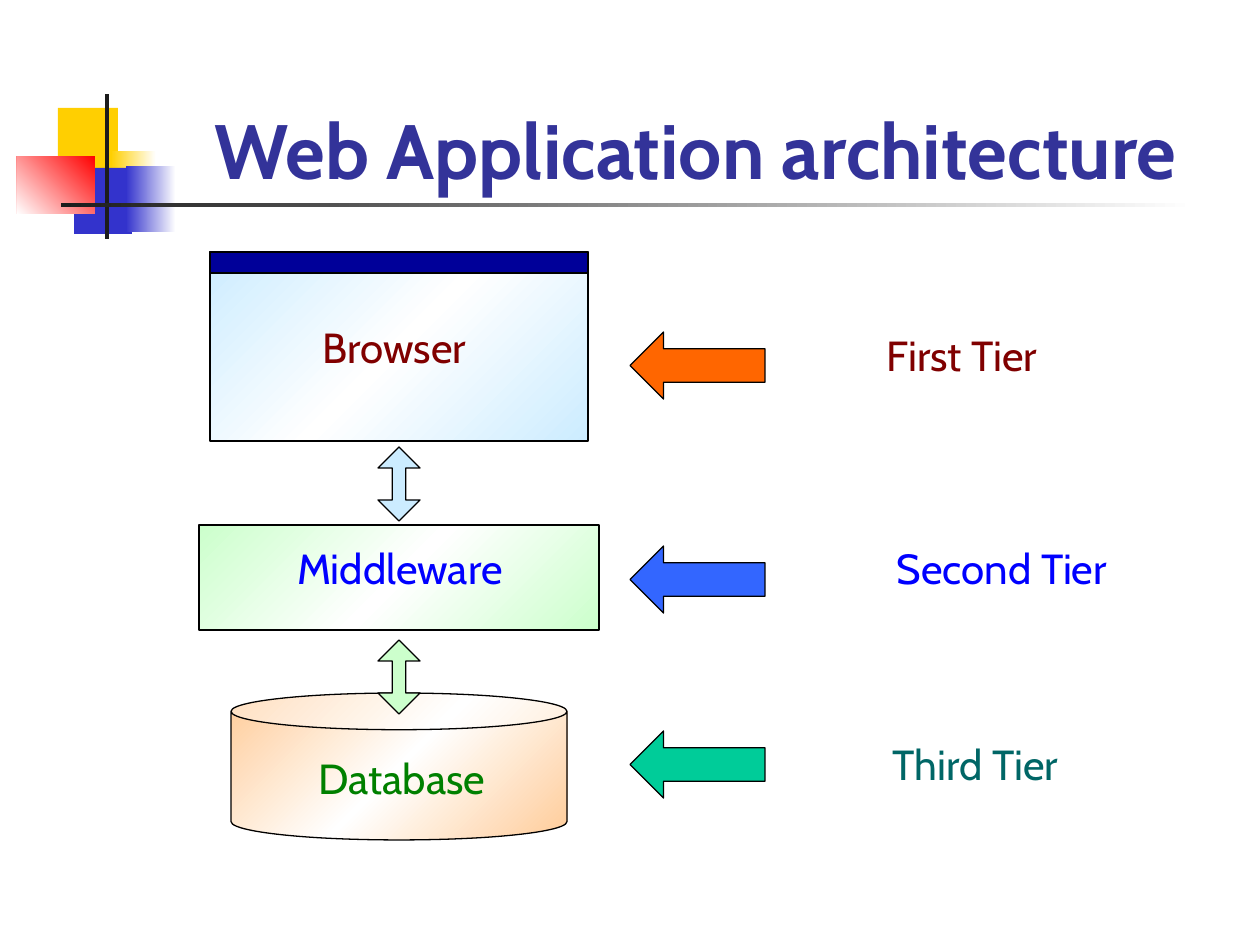
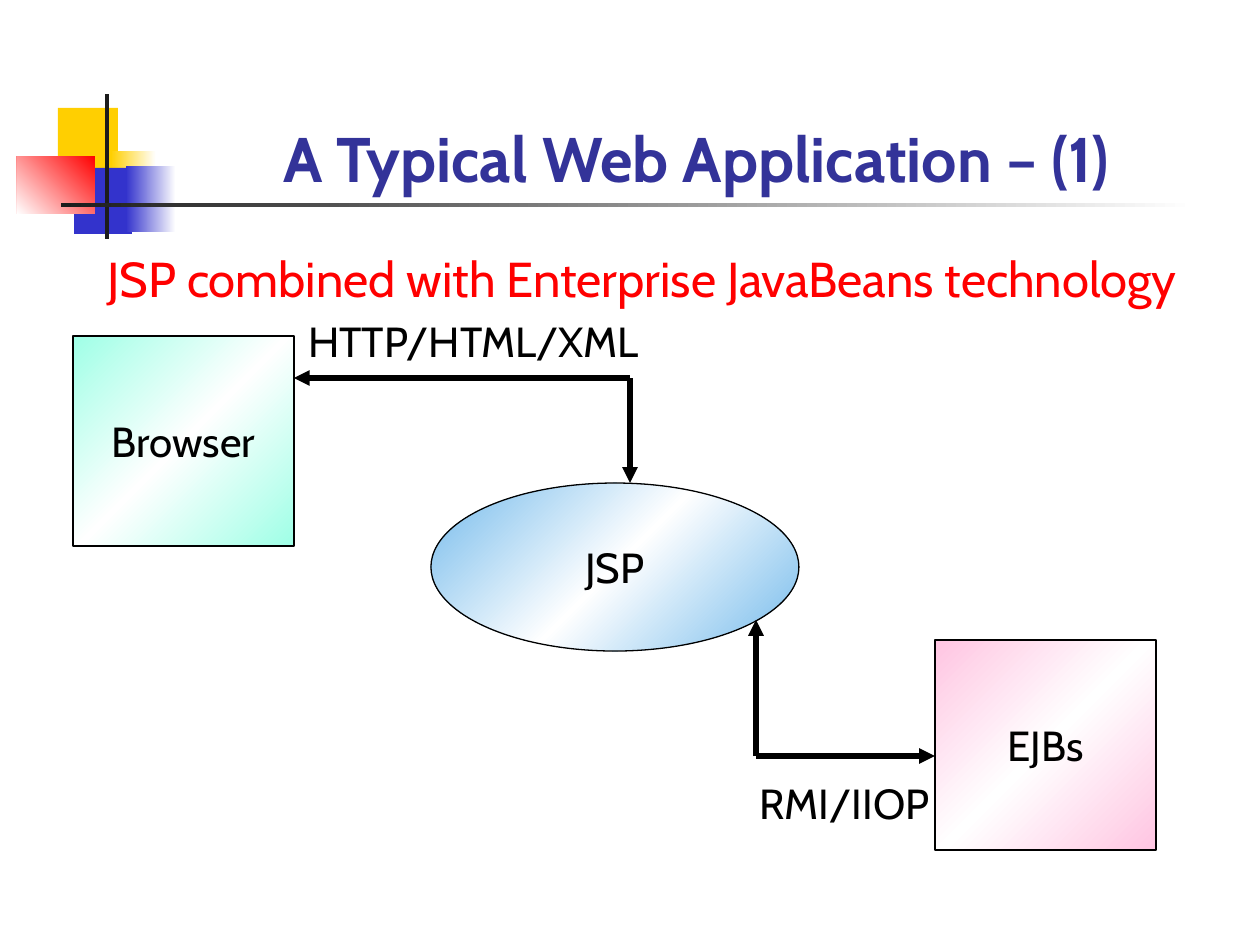
from dataclasses import dataclass

from lxml.etree import SubElement
from pptx import Presentation
from pptx.dml.color import RGBColor
from pptx.enum.shapes import MSO_CONNECTOR, MSO_SHAPE as Preset, PP_PLACEHOLDER
from pptx.enum.text import MSO_ANCHOR as Anchor, MSO_AUTO_SIZE, PP_ALIGN
from pptx.oxml.ns import qn
from pptx.util import Emu, Pt

EMU_PER_PX = 914400 / 126


@dataclass(frozen=True)
class Theme:
    font: str = "Cabin"
    title_size: int = 44
    small_title_size: int = 36
    subtitle_size: int = 28
    label_size: int = 24
    outline_width: float = 0.75
    arrow_width: float = 3
    title: str = "333399"
    black: str = "000000"
    white: str = "FFFFFF"
    rule: str = "1C1C1C"
    yellow: str = "FFCF01"
    indigo: str = "3333CC"
    red: str = "FF0000"
    maroon: str = "800000"
    blue: str = "0000FF"
    green: str = "008000"
    teal: str = "006666"
    navy: str = "000099"
    pale_blue: str = "CCECFF"
    pale_green: str = "CCFFCC"
    peach: str = "FFCC99"
    mint: str = "9FFFE6"
    sky: str = "73BAEB"
    pink: str = "FFC5E2"
    orange_arrow: str = "FF6600"
    blue_arrow: str = "3366FF"
    green_arrow: str = "00CC99"


def px(*lengths):
    return [Emu(round(length * EMU_PER_PX)) for length in lengths]


class Deck:
    def __init__(self, theme):
        self.theme = theme
        self.presentation = Presentation()
        self.presentation.slide_width, self.presentation.slide_height = px(1260, 945)
        self.layout = self.presentation.slide_layouts[5]
        self.slide = None
        for placeholder in list(self.layout.placeholders):
            if placeholder.placeholder_format.type != PP_PLACEHOLDER.TITLE:
                placeholder.element.getparent().remove(placeholder.element)

    def add_slide(self, title, size):
        first = self.slide is None
        self.slide = self.presentation.slides.add_slide(self.layout)
        if first:
            self.decorate_layout()
        shape = self.slide.shapes.title
        shape.left, shape.top, shape.width, shape.height = px(159, 43, 1074, 158)
        self.set_text(shape, title, size, self.theme.title, Anchor.BOTTOM, wrap=True, bold=True)

    def decorate_layout(self):
        """Draw the corner squares and rules, then move them to the shared layout."""
        theme = self.theme
        decorations = [
            ((58, 108, 60, 66), theme.yellow, 0),
            ((111, 151, 45, 66), (theme.white, theme.yellow), 180),
            ((74, 168, 58, 66), theme.indigo, 0),
            ((126, 166, 50, 66), (theme.white, theme.indigo), 180),
            ((17, 156, 78, 58), (theme.red, theme.white), 135),
            ((105, 94, 4, 145), theme.rule, 0),
            ((61, 203, 1134, 4), (theme.white, theme.rule), 180),
        ]
        for box, fill, angle in decorations:
            shape = self.shape(Preset.RECTANGLE, box, fill, angle, outlined=False)
            self.layout.shapes.element.append(shape.element)

    def set_text(self, shape, text, size, color, anchor, wrap=False, bold=False):
        frame = shape.text_frame
        frame.text = text
        frame.word_wrap = wrap
        frame.auto_size = MSO_AUTO_SIZE.NONE
        frame.vertical_anchor = anchor
        paragraph = frame.paragraphs[0]
        paragraph.alignment = PP_ALIGN.CENTER
        font = paragraph.font
        font.name, font.size, font.bold = self.theme.font, Pt(size), bold
        font.color.rgb = RGBColor.from_string(color)

    def shape(self, preset, box, fill, angle=225, adjustments=(), outlined=True):
        """Add a preset shape; a tuple of colours as fill makes an even gradient."""
        shape = self.slide.shapes.add_shape(preset, *px(*box))
        shape.shadow.inherit = False
        for index, value in enumerate(adjustments):
            shape.adjustments[index] = value
        if isinstance(fill, tuple):
            self.gradient(shape, fill, angle)
        else:
            shape.fill.solid()
            shape.fill.fore_color.rgb = RGBColor.from_string(fill)
        if outlined:
            shape.line.width = Pt(self.theme.outline_width)
            shape.line.color.rgb = RGBColor.from_string(self.theme.black)
        else:
            shape.line.fill.background()
        return shape

    def gradient(self, shape, colors, angle):
        """Fill with evenly spaced stops; the angle runs clockwise."""
        shape.fill.gradient()
        shape.fill.gradient_angle = 360 - angle
        stops = shape.element.spPr.find(".//" + qn("a:gsLst"))
        for stop in list(stops):
            stops.remove(stop)
        for index, color in enumerate(colors):
            position = index * 100000 // (len(colors) - 1)
            stop = SubElement(stops, qn("a:gs"), pos=str(position))
            SubElement(stop, qn("a:srgbClr"), val=color)

    def glossy(self, preset, box, color, label=None, adjustments=()):
        """Add a shape with a white diagonal sheen and an optional centred label."""
        shape = self.shape(preset, box, (color, self.theme.white, color), adjustments=adjustments)
        if label:
            self.set_text(shape, label, self.theme.label_size, self.theme.black, Anchor.MIDDLE)

    def text(self, box, text, color, size=None):
        shape = self.slide.shapes.add_textbox(*px(*box))
        self.set_text(shape, text, size or self.theme.label_size, color, Anchor.TOP)

    def arrow(self, start, end):
        connector = self.slide.shapes.add_connector(MSO_CONNECTOR.STRAIGHT, *px(*start, *end))
        connector.line.width = Pt(self.theme.arrow_width)
        connector.line.color.rgb = RGBColor.from_string(self.theme.black)
        properties = connector.element.spPr
        SubElement(properties.find(qn("a:ln")), qn("a:tailEnd"), type="triangle")
        SubElement(properties, qn("a:effectLst"))

    def elbow(self, corner, *tips):
        """Draw a two-headed right-angled link as arrows leaving its corner."""
        for tip in tips:
            self.arrow(corner, tip)


def build_architecture(deck):
    theme = deck.theme
    deck.add_slide("Web Application architecture", theme.title_size)

    deck.glossy(Preset.RECTANGLE, (199, 525, 400, 105), theme.pale_green)
    deck.glossy(Preset.CAN, (231, 693, 336, 147), theme.peach, adjustments=(0.25,))
    for top, color in ((447, theme.pale_blue), (640, theme.pale_green)):
        deck.shape(Preset.UP_DOWN_ARROW, (378, top, 42, 74), color, adjustments=(0.28, 0.32))
    deck.glossy(Preset.RECTANGLE, (210, 252, 378, 189), theme.pale_blue)
    deck.shape(Preset.RECTANGLE, (210, 252, 378, 21), theme.navy)

    deck.text((283, 315, 223, 76), "Browser", theme.maroon)
    deck.text((242, 536, 316, 76), "Middleware", theme.blue)
    deck.text((273, 746, 258, 76), "Database", theme.green)

    tiers = [
        ("First Tier", theme.maroon, (840, 323, 244, 76), 332, theme.orange_arrow),
        ("Second Tier", theme.blue, (838, 536, 328, 76), 546, theme.blue_arrow),
        ("Third Tier", theme.teal, (840, 732, 271, 76), 731, theme.green_arrow),
    ]
    for name, color, label_box, arrow_top, arrow_color in tiers:
        deck.shape(Preset.LEFT_ARROW, (630, arrow_top, 135, 67), arrow_color, adjustments=(0.5, 0.5))
        deck.text(label_box, name, color)


def build_typical_application(deck):
    theme = deck.theme
    deck.add_slide("A Typical Web Application – (1)", theme.small_title_size)
    deck.text((35, 242, 1213, 72), "JSP combined with Enterprise JavaBeans technology",
              theme.red, theme.subtitle_size)

    deck.glossy(Preset.RECTANGLE, (73, 336, 221, 210), theme.mint, "Browser")
    deck.glossy(Preset.OVAL, (431, 483, 368, 168), theme.sky, "JSP")
    deck.glossy(Preset.RECTANGLE, (935, 640, 221, 210), theme.pink, "EJBs")

    deck.text((294, 309, 359, 63), "HTTP/HTML/XML", theme.black)
    deck.elbow((630, 378), (630, 483), (294, 378))
    deck.text((742, 771, 205, 63), "RMI/IIOP", theme.black)
    deck.elbow((756, 756), (756, 620), (935, 756))


def main():
    deck = Deck(Theme())
    build_architecture(deck)
    build_typical_application(deck)
    deck.presentation.save("out.pptx")


if __name__ == "__main__":
    main()
